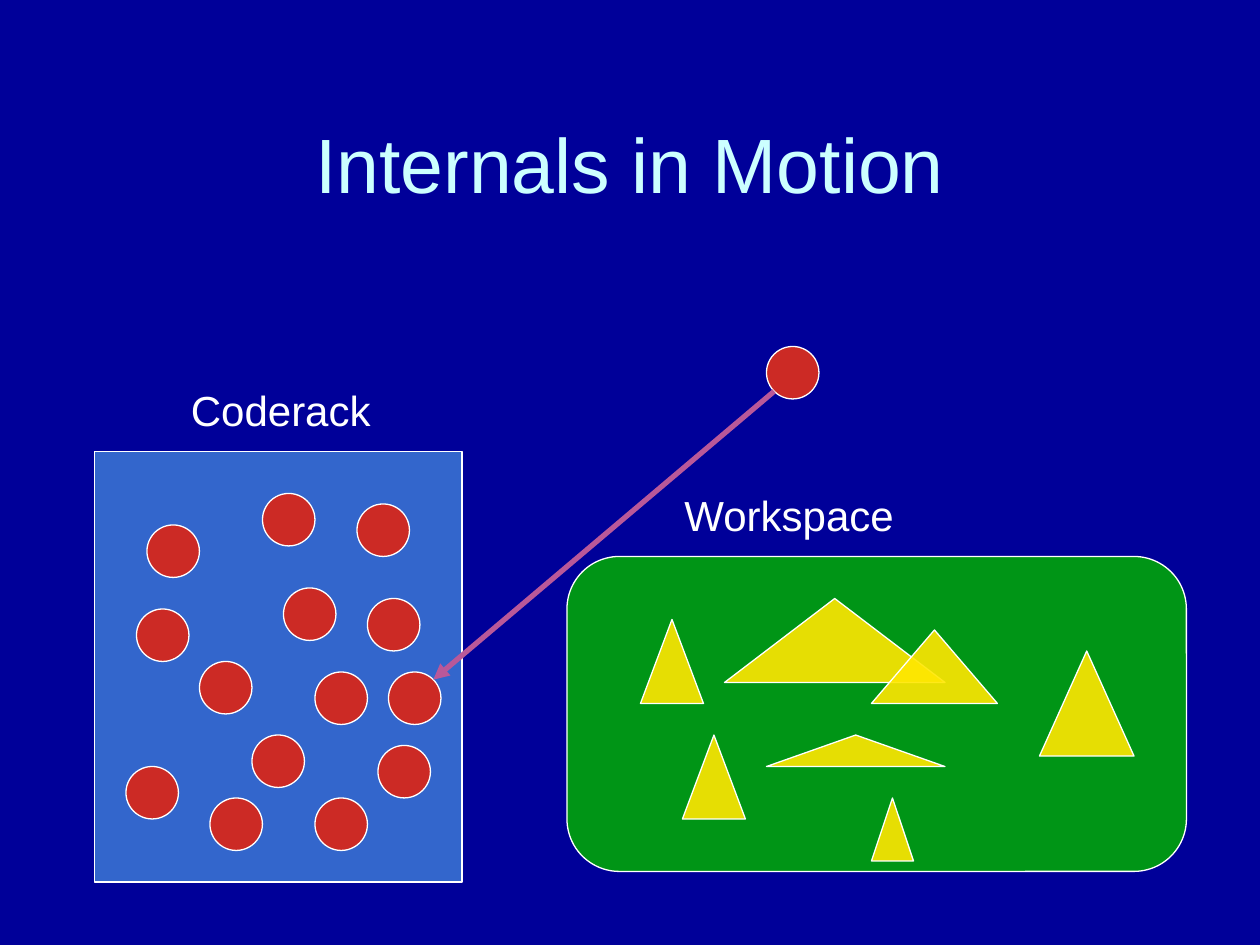
from math import sqrt

from lxml.etree import SubElement
from pptx import Presentation
from pptx.dml.color import RGBColor
from pptx.enum.shapes import MSO_CONNECTOR, MSO_SHAPE
from pptx.enum.text import MSO_ANCHOR, MSO_AUTO_SIZE, PP_ALIGN
from pptx.oxml.ns import qn
from pptx.util import Cm, Pt

COLOURS = {
    "background": "000099",
    "title": "CCFFFF",
    "white": "FFFFFF",
    "rack": "3366CC",
    "codelet": "CC2A25",
    "workspace": "00B000",
    "structure": "FFE701",
    "motion": "B95899",
}

# Positions are counted in grid steps of a twelfth of an inch
STEP = 2.54 / 12
CODELET_SIZE = 5

RACK = (9, 43, 35, 41)
WORKSPACE = (54, 53, 59, 30)
RACK_CODELETS = [
    (14, 50), (25, 47), (19, 63), (27, 56), (12, 73), (34, 48), (30, 64),
    (13, 58), (24, 70), (35, 57), (36, 71), (20, 76), (30, 76),
]
RELEASED_CODELET = (73, 33)
TARGET_CODELET = (37, 64)
STRUCTURES = [
    (61, 59, 6, 8), (69, 57, 21, 8), (99, 62, 9, 10), (83, 60, 12, 7),
    (65, 70, 6, 8), (73, 70, 17, 3), (83, 76, 4, 6),
]

TITLE_FRAME = {"word_wrap": True, "vertical_anchor": MSO_ANCHOR.MIDDLE}
LABEL_FRAME = {"word_wrap": False, "auto_size": MSO_AUTO_SIZE.SHAPE_TO_FIT_TEXT}


def grid(*steps):
    return [Cm(step * STEP) for step in steps]


def colour(name):
    return RGBColor.from_string(COLOURS[name])


def set_format(target, values):
    for attribute, value in values.items():
        setattr(target, attribute, value)


def add_figure(slide, preset, box, fill, opacity=100):
    figure = slide.shapes.add_shape(preset, *grid(*box))
    figure.shadow.inherit = False
    figure.fill.solid()
    figure.fill.fore_color.rgb = colour(fill)
    figure.line.color.rgb = colour("white")
    figure.line.width = Pt(0.75)
    if opacity < 100:
        fill_colour = figure._element.spPr.find(qn("a:solidFill"))[0]
        SubElement(fill_colour, qn("a:alpha"), val=str(opacity * 1000))
    return figure


def add_codelet(slide, corner):
    add_figure(slide, MSO_SHAPE.OVAL, (*corner, CODELET_SIZE, CODELET_SIZE), "codelet")


def add_motion_arrow(slide, source, target):
    # From the lower left of the source rim to the upper right of the target rim
    near = CODELET_SIZE / 2 * (1 - 1 / sqrt(2))
    far = CODELET_SIZE - near
    ends = grid(source[0] + near, source[1] + far, target[0] + far, target[1] + near)
    arrow = slide.shapes.add_connector(MSO_CONNECTOR.STRAIGHT, *ends)
    arrow.line.color.rgb = colour("motion")
    arrow.line.width = Pt(3)
    properties = arrow._element.spPr
    SubElement(properties.find(qn("a:ln")), qn("a:tailEnd"), type="triangle")
    SubElement(properties, qn("a:effectLst"))


def add_text(slide, box, text, size, colour_name, frame_format, align=PP_ALIGN.LEFT):
    frame = slide.shapes.add_textbox(*grid(*box)).text_frame
    set_format(frame, frame_format)
    paragraph = frame.paragraphs[0]
    paragraph.alignment = align
    run = paragraph.add_run()
    run.text = text
    set_format(run.font, {"name": "Arial", "size": Pt(size)})
    run.font.color.rgb = colour(colour_name)


def main():
    presentation = Presentation()
    set_format(presentation, {"slide_width": Cm(25.4), "slide_height": Cm(19.05)})
    slide = presentation.slides.add_slide(presentation.slide_layouts[6])
    slide.background.fill.solid()
    slide.background.fill.fore_color.rgb = colour("background")

    # Title
    add_text(slide, (9, 8, 102, 15), "Internals in Motion", 44, "title",
             TITLE_FRAME, PP_ALIGN.CENTER)

    # Coderack with its codelets
    add_figure(slide, MSO_SHAPE.RECTANGLE, RACK, "rack")
    for corner in RACK_CODELETS:
        add_codelet(slide, corner)

    # Workspace with its structures
    workspace = add_figure(slide, MSO_SHAPE.ROUNDED_RECTANGLE, WORKSPACE, "workspace", 85)
    workspace.adjustments[0] = 1 / 6
    for box in STRUCTURES:
        add_figure(slide, MSO_SHAPE.ISOSCELES_TRIANGLE, box, "structure", 90)

    # Codelet in motion
    for corner in (RELEASED_CODELET, TARGET_CODELET):
        add_codelet(slide, corner)
    add_motion_arrow(slide, RELEASED_CODELET, TARGET_CODELET)

    # Labels
    add_text(slide, (64, 46, 22.5, 6), "Workspace", 24, "white", LABEL_FRAME)
    add_text(slide, (17, 36, 19.7, 6), "Coderack", 24, "white", LABEL_FRAME)

    presentation.save("out.pptx")


if __name__ == "__main__":
    main()
